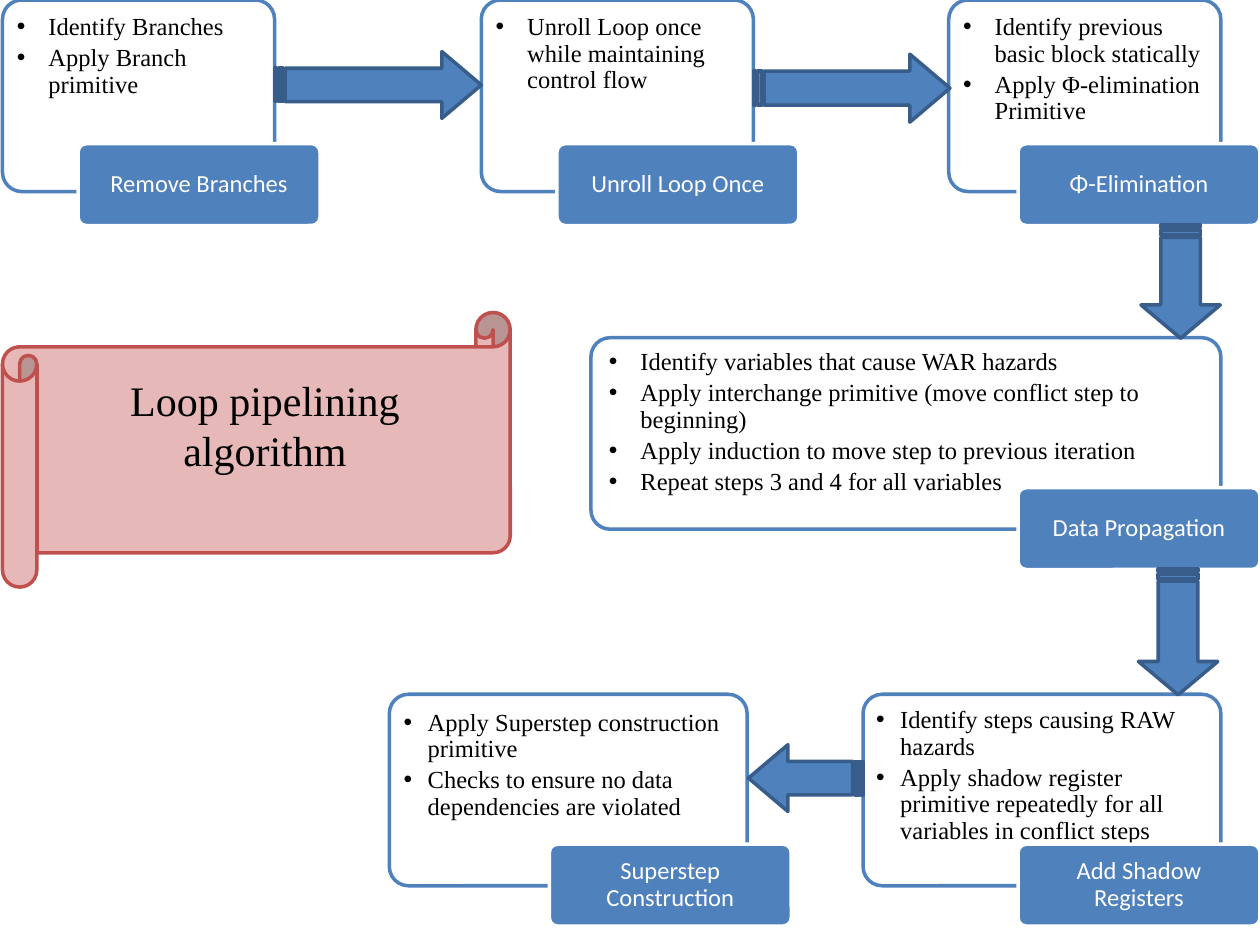
from lxml.etree import SubElement
from pptx import Presentation
from pptx.dml.color import RGBColor
from pptx.enum.shapes import MSO_SHAPE
from pptx.enum.text import MSO_ANCHOR, PP_ALIGN
from pptx.oxml.ns import qn
from pptx.util import Inches, Pt

COLS, ROWS = 100, 75
BLUE, NAVY, WHITE, BLACK = "4F81BD", "385D8A", "FFFFFF", "000000"
SERIF, SANS = "Times New Roman", "Calibri"
PANEL_H, BADGE_W, BADGE_H = 15.2, 19.2, 6.5

STAGES = [
    (0.2, 0, 21.6, 6.2, 11.4, 0.25, "Remove Branches",
     ["Identify Branches", "Apply Branch primitive"]),
    (68.5, 55.1, 28.4, 80.8, 67, 0.19, "Add Shadow Registers",
     ["Identify steps causing RAW hazards",
      "Apply shadow register primitive repeatedly for all variables in conflict steps"]),
    (46.9, 26.8, 50, 80.8, 38.7, 0.25, "Data Propagation",
     ["Identify variables that cause WAR hazards",
      "Apply interchange primitive (move conflict step to beginning)",
      "Apply induction to move step to previous iteration",
      "Repeat steps 3 and 4 for all variables"]),
    (38.2, 0, 21.6, 44.2, 11.4, 0.25, "Unroll Loop Once",
     ["Unroll Loop once while maintaining control flow"]),
    (75.3, 0, 21.6, 80.8, 11.4, 0.25, "Φ-Elimination",
     ["Identify previous basic block statically", "Apply Φ-elimination Primitive"]),
    (30.9, 55.1, 28.4, 43.6, 67, 0.19, "Superstep Construction",
     ["Apply Superstep construction primitive",
      "Checks to ensure no data dependencies are violated"]),
]
PADS = {"Data Propagation": (0.1, 0.05), "Add Shadow Registers": (0.06, 0.06),
        "Superstep Construction": (0.07, 0.08)}
ARROWS = [
    (21.8, 4.1, 16.4, 5.3, 0, 0.59),
    (59.8, 4.3, 15.6, 5.4, 0, 0.59),
    (89.2, 19.2, 9, 6.3, 90, 0.42),
    (88.5, 47, 10, 6.3, 90, 0.42),
    (59.4, 59.1, 9.1, 5.3, 180, 0.59),
]


def rgb(code):
    """Turn a hex string into a colour."""
    return RGBColor.from_string(code)


class Board:
    """Hold the style and the current slide of the flow diagram."""

    def __init__(self, prs):
        """Add a blank slide and derive the grid cell from its size."""
        self.s = prs.slides.add_slide(prs.slide_layouts[6])
        self.cw, self.rh = prs.slide_width / COLS, prs.slide_height / ROWS

    def shape(self, kind, box, fill, line, adj):
        """Place a filled, outlined preset shape on the grid."""
        x, y, w, h = box
        sp = self.s.shapes.add_shape(kind, int(x * self.cw), int(y * self.rh),
                                     int(w * self.cw), int(h * self.rh))
        for i, value in enumerate(adj):
            sp.adjustments[i] = value
        sp.shadow.inherit = False
        sp.fill.solid()
        sp.fill.fore_color.rgb = rgb(fill)
        sp.line.color.rgb = rgb(line)
        sp.line.width = Pt(2)
        return sp

    def frame(self, sp, insets, anchor):
        """Set the insets and anchor of a shape's text."""
        tf = sp.text_frame
        tf.word_wrap = True
        tf.vertical_anchor = anchor
        tf.margin_left, tf.margin_top, tf.margin_right, tf.margin_bottom = map(Inches, insets)
        return tf

    def run(self, p, text, size, font, color):
        """Append one styled run."""
        r = p.add_run()
        r.text = text
        r.font.size, r.font.name = Pt(size), font
        r.font.color.rgb = rgb(color)

    def panel(self, box, items, indent, pad):
        """Draw a bulleted panel."""
        sp = self.shape(MSO_SHAPE.ROUNDED_RECTANGLE, box, WHITE, BLUE, [0.1])
        color = sp.fill._xPr.find(qn("a:solidFill"))[0]
        SubElement(color, qn("a:alpha"), val="90000")
        left, top = pad
        tf = self.frame(sp, (left, top, left, 0.35), MSO_ANCHOR.TOP)
        for i, item in enumerate(items):
            p = tf.add_paragraph() if i else tf.paragraphs[0]
            pPr = p._p.get_or_add_pPr()
            pPr.set("marL", str(Inches(indent)))
            pPr.set("indent", str(-Inches(indent)))
            SubElement(SubElement(pPr, qn("a:buClr")), qn("a:srgbClr"), val=BLACK)
            SubElement(pPr, qn("a:buFont"), typeface="Arial")
            SubElement(pPr, qn("a:buChar"), char="•")
            p.level = 1
            p.alignment = PP_ALIGN.LEFT
            p.line_spacing, p.space_after = 0.9, Pt(2.6)
            self.run(p, item, 14, SERIF, BLACK)

    def badge(self, x, y, text):
        """Draw the name plate of a stage."""
        sp = self.shape(MSO_SHAPE.ROUNDED_RECTANGLE, (x, y, BADGE_W, BADGE_H),
                        BLUE, WHITE, [0.1])
        p = self.frame(sp, (0.08, 0.06, 0.08, 0.06), MSO_ANCHOR.MIDDLE).paragraphs[0]
        p.alignment, p.line_spacing = PP_ALIGN.CENTER, 0.9
        self.run(p, text, 14, SANS, WHITE)

    def arrow(self, x, y, w, h, turn, head):
        """Draw a striped arrow between two stages."""
        sp = self.shape(MSO_SHAPE.STRIPED_RIGHT_ARROW, (x, y, w, h), BLUE, NAVY, [0.5, head])
        sp.rotation = turn

    def scroll(self, box, text):
        """Draw the title scroll."""
        sp = self.shape(MSO_SHAPE.HORIZONTAL_SCROLL, box, "E6B9B8", "C0504D", [0.125])
        p = self.frame(sp, (0.1, 0.05, 0.1, 0.45), MSO_ANCHOR.MIDDLE).paragraphs[0]
        p.alignment = PP_ALIGN.CENTER
        self.run(p, text, 24, SERIF, BLACK)


def main():
    """Build and save the slide."""
    prs = Presentation()
    prs.slide_width, prs.slide_height = Inches(10), Inches(7.5)
    board = Board(prs)
    for x, y, w, badge_x, badge_y, indent, name, items in STAGES:
        board.panel((x, y, w, PANEL_H), items, indent, PADS.get(name, (0.07, 0.07)))
        board.badge(badge_x, badge_y, name)
    for arrow in ARROWS:
        board.arrow(*arrow)
    board.scroll((0.2, 24.8, 40.3, 21.8), "Loop pipelining algorithm")
    prs.save("out.pptx")


if __name__ == "__main__":
    main()
